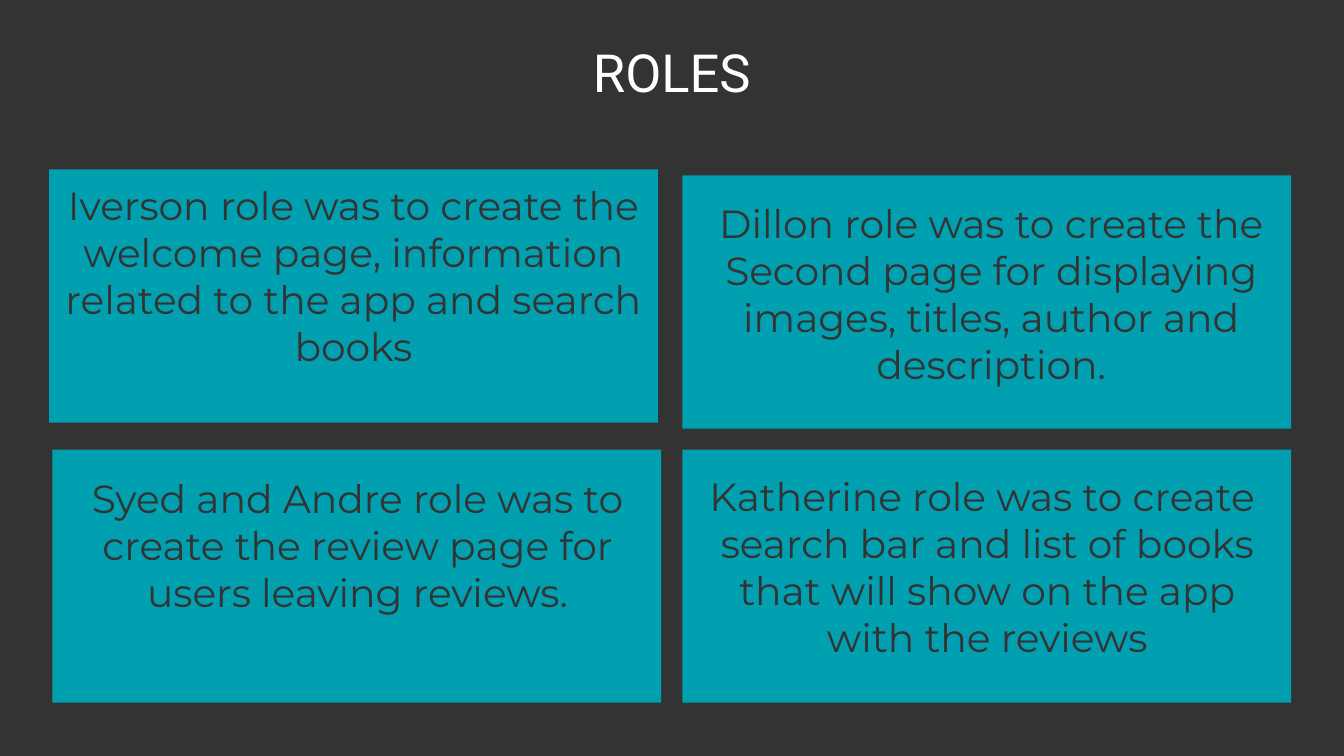
from pptx import Presentation
from pptx.dml.color import RGBColor
from pptx.enum.shapes import MSO_SHAPE as Shape
from pptx.enum.text import PP_ALIGN as Align
from pptx.util import Cm, Pt

COLORS = {"background": "333333", "card": "00A0B0", "title": "FFFFFF", "body": "333333"}
SLIDE_WIDTH, SLIDE_HEIGHT = 33.87, 19.05
CARD_WIDTH, CARD_HEIGHT = 15.34, 6.38

# Card left and top, then the text area (left, top, width, height), in cm
ROLES = [
    ((1.24, 4.27), (1.5, 4.57, 14.81, 5.54),
     "Iverson role was to create the welcome page, information related to the app "
     "and search books"),
    ((17.2, 4.42), (17.98, 5.03, 14, 5.11),
     "Dillon role was to create the Second page for displaying images, titles, "
     "author and description."),
    ((1.32, 11.33), (1.68, 11.94, 14.66, 5.28),
     "Syed and Andre role was to create the review page for users leaving reviews."),
    ((17.2, 11.33), (17.88, 11.89, 14, 5.28),
     "Katherine role was to create  search bar and list of books that will show on "
     "the app with the reviews"),
]


class RolesSlide:
    title_font, title_size, title_leading = "Roboto", 37.5, 44.1
    body_font, body_size = "Montserrat", 28

    def __init__(self, deck):
        self.slide = deck.slides.add_slide(deck.slide_layouts[6])
        self.paint(self.slide.background.fill, "background")

    def paint(self, fill, color):
        fill.solid()
        fill.fore_color.rgb = RGBColor.from_string(COLORS[color])

    def text(self, area, wording, font, size, color, leading=None):
        """Centred text in a box without margins; area is in cm."""
        frame = self.slide.shapes.add_textbox(*map(Cm, area)).text_frame
        frame.word_wrap = True
        frame.margin_left = frame.margin_top = frame.margin_right = frame.margin_bottom = 0
        paragraph = frame.paragraphs[0]
        paragraph.text = wording
        paragraph.alignment = Align.CENTER
        if leading:
            paragraph.line_spacing = Pt(leading)
        paragraph.font.name = font
        paragraph.font.size = Pt(size)
        paragraph.font.color.rgb = RGBColor.from_string(COLORS[color])

    def title(self, wording):
        self.text((0, 1.04, SLIDE_WIDTH, 1.55), wording,
                  self.title_font, self.title_size, "title", self.title_leading)

    def card(self, corner, text_area, wording):
        panel = self.slide.shapes.add_shape(
            Shape.RECTANGLE, *map(Cm, (*corner, CARD_WIDTH, CARD_HEIGHT)))
        panel.shadow.inherit = False
        self.paint(panel.fill, "card")
        panel.line.fill.background()
        self.text(text_area, wording, self.body_font, self.body_size, "body")


def main():
    deck = Presentation()
    deck.slide_width, deck.slide_height = Cm(SLIDE_WIDTH), Cm(SLIDE_HEIGHT)
    roles_slide = RolesSlide(deck)
    roles_slide.title("ROLES")
    for corner, text_area, wording in ROLES:
        roles_slide.card(corner, text_area, wording)
    deck.save("out.pptx")


if __name__ == "__main__":
    main()
